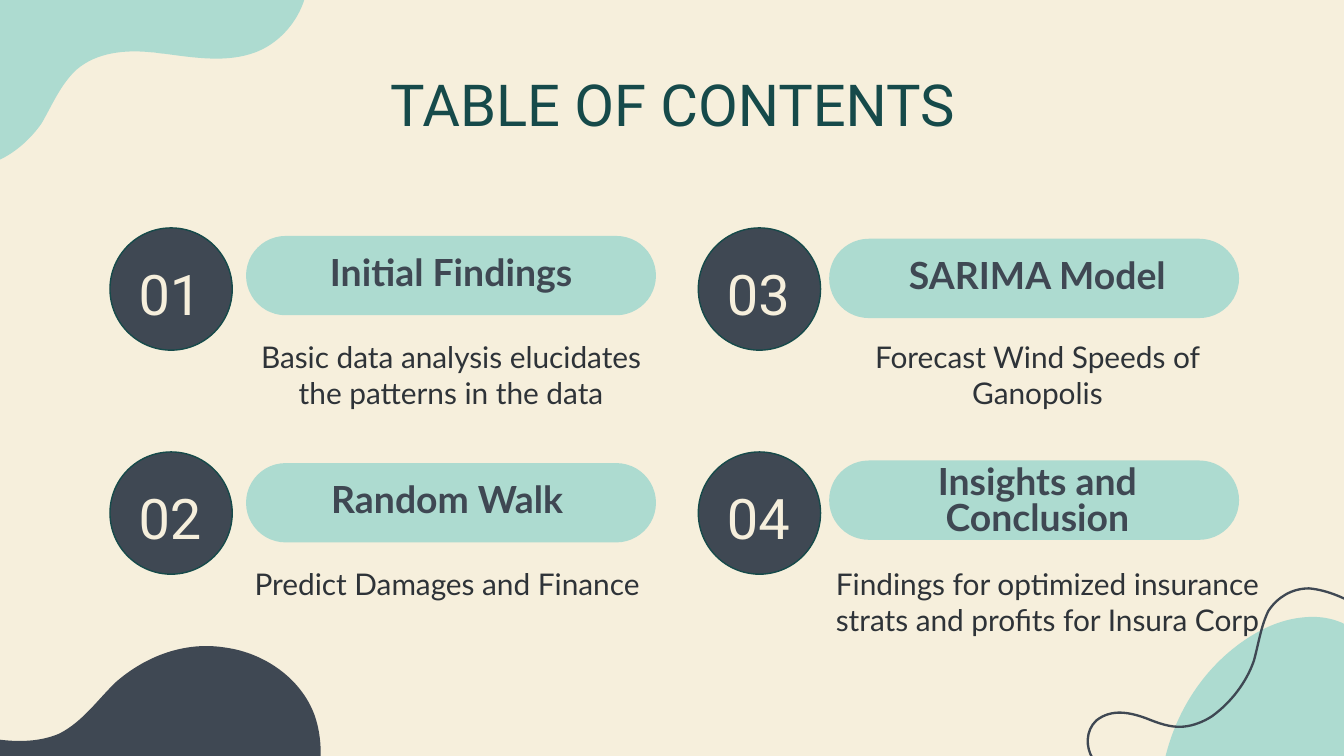
from dataclasses import dataclass

from pptx import Presentation
from pptx.dml.color import RGBColor
from pptx.enum.shapes import MSO_SHAPE as Preset
from pptx.enum.text import MSO_ANCHOR as Anchor, MSO_AUTO_SIZE as AutoSize, PP_ALIGN as Align
from pptx.oxml.ns import qn
from pptx.util import Pt


@dataclass(frozen=True)
class Theme:
    cream: str = "F6EFDC"
    mint: str = "ADDBD0"
    slate: str = "3F4853"
    teal: str = "164A4A"
    ink: str = "2E3338"
    display_font: str = "Roboto"
    text_font: str = "Lato"
    title_size: float = 31
    number_size: float = 30
    heading_size: float = 20
    body_size: float = 16


@dataclass(frozen=True)
class Entry:
    heading: str
    description: str
    circle_left: float
    circle_top: float
    pill_left: float
    pill_top: float
    text_left: float
    heading_top: float
    description_top: float
    description_size: tuple = (216, 40.3)
    description_align: Align = Align.CENTER


COMPARISON_LAYOUT = 4
CIRCLE = 65.5
PILL = (219.6, 42.5)
HEADING_WIDTH = 216

ENTRIES = [
    Entry("Initial Findings", "Basic data analysis elucidates the patterns in the data",
          58.9, 122.1, 131.8, 126.4, 133.7, 126.7, 181.4),
    Entry("Random Walk", "Predict Damages and Finance",
          58.9, 242.1, 131.8, 248.1, 131.6, 248.1, 303.1),
    Entry("SARIMA Model", "Forecast Wind Speeds of Ganopolis",
          374.1, 122.1, 444.2, 127.9, 447.8, 128.2, 181.4),
    Entry("Insights and Conclusion",
          "Findings for optimized insurance strats and profits for Insura Corp",
          374.1, 242.1, 444.2, 246.7, 447.8, 248.1, 303.1, (241.2, 55.4), Align.LEFT),
]

# Outlines: a start point, then line ends (x, y) or cubic curves (three points).
RIGHT_BLOB = [
    (727.9, 409),
    (735.8, 398.9, 741.6, 388.1, 742.3, 378),
    (744.5, 352.8, 728.6, 330.5, 703.4, 330.5),
    (689.8, 330.5, 678.2, 335.5, 668.2, 342),
    (645.1, 357.1, 629.3, 381.6, 623.5, 409),
]
BOTTOM_BLOB = [
    (169.2, 422.6),
    (172.8, 409, 172.8, 395.3, 168.5, 383),
    (161.3, 363.6, 141.8, 349.9, 121, 347),
    (99.4, 343.4, 78.5, 351.4, 62.6, 365),
    (52.6, 374.4, 44.6, 386.6, 31.7, 393.1),
    (13, 401, -9.4, 395.3, -28.8, 390.2),
    (-38.9, 387.4, -50.4, 385.2, -60.5, 385.2),
    (-60.5, 422.6),
]
TOP_BLOB = [
    (164.9, -15.1),
    (164.2, -20.9, 162.7, -26.6, 159.8, -31),
    (136.8, -62.6, 92.2, -23, 65.5, -47.5),
    (53.3, -59, 49.7, -67, 29.5, -60.5),
    (13, -55.4, -0.7, -41.8, -3.6, -24.5),
    (-5, -15.8, -3.6, -6.5, -4.3, 2.9),
    (-4.3, 7.9, -5, 13.7, -7.9, 18),
    (-16.6, 32.4, -36.7, 34.6, -45.4, 49),
    (-54, 64.8, -40.3, 86.4, -23, 89.3),
    (-5, 92.2, 12.2, 80.6, 22.3, 66.2),
    (28.1, 56.2, 32.4, 45.4, 41, 37.4),
    (51.8, 28.1, 67, 26.6, 81.4, 28.1),
    (83.5, 28.1, 85.7, 28.8, 87.8, 28.8),
    (104.4, 31, 121.7, 33.8, 136.8, 28.1),
    (154.1, 21.6, 166.3, 2.9, 164.9, -15.1),
]
SQUIGGLE = [
    (731.5, 326.5),
    (721.4, 321, 712.1, 316.2, 701.3, 315.2),
    (692, 315.2, 684.3, 320, 679.5, 327.3),
    (675.5, 335.5, 674.3, 344.5, 671.8, 353.8),
    (667.8, 365.5, 659.5, 376.3, 649.3, 383.7),
    (645, 386.5, 639.5, 388.8, 634, 389.3),
    (627.1, 390, 620, 387.2, 614.5, 385),
    (605.5, 381.6, 595.4, 379.5, 587.3, 386),
    (581.4, 391.5, 581.6, 400.5, 585.4, 406.4),
    (588, 410.5, 591, 413.8, 594.4, 417),
    (598.8, 421.5, 602.5, 426, 604.4, 431),
    (606.6, 439, 606.6, 448, 604.4, 456.8),
]


def bend(shape, segments):
    """Merge each run of three line ends that stands for a cubic curve into that curve."""
    path = next(shape._element.iter(qn("a:path")))
    lines = iter(path.findall(qn("a:lnTo")))
    for segment in segments:
        first = next(lines)
        if len(segment) == 6:
            first.tag = qn("a:cubicBezTo")
            for _ in range(2):
                line = next(lines)
                first.append(line[0])
                path.remove(line)


def write(box, text, *, font, size, color, bold=False, align=Align.CENTER,
          anchor=Anchor.TOP, spacing=1.0, side_inset=0):
    frame = box.text_frame
    frame.word_wrap = True
    frame.auto_size = AutoSize.NONE
    frame.vertical_anchor = anchor
    frame.margin_top = frame.margin_bottom = 0
    frame.margin_left = frame.margin_right = Pt(side_inset)
    para = frame.paragraphs[0]
    para.alignment = align
    para.line_spacing = spacing
    para.space_before = Pt(0)
    span = para.add_run()
    span.text = text
    span.font.name = font
    span.font.size = Pt(size)
    span.font.bold = bold
    span.font.color.rgb = RGBColor.from_string(color)
    return para


class Painter:
    def __init__(self, page, theme):
        self.page, self.theme = page, theme
        page.background.fill.solid()
        page.background.fill.fore_color.rgb = RGBColor.from_string(theme.cream)

    def paint(self, shape, fill=None, line=None, width=0.75):
        shape.shadow.inherit = False
        for target, color in ((shape.fill, fill), (shape.line.fill, line)):
            if color:
                target.solid()
                target.fore_color.rgb = RGBColor.from_string(color)
            else:
                target.background()
        if line:
            shape.line.width = Pt(width)

    def outline(self, outline, close=True, **style):
        start, *segments = outline
        points = [(Pt(x), Pt(y)) for segment in segments
                  for x, y in zip(segment[::2], segment[1::2])]
        builder = self.page.shapes.build_freeform(*map(Pt, start), scale=1.0)
        builder.add_line_segments(points, close=close)
        shape = builder.convert_to_shape()
        bend(shape, segments)
        self.paint(shape, **style)

    def shape(self, preset, *bounds, **style):
        shape = self.page.shapes.add_shape(preset, *map(Pt, bounds))
        self.paint(shape, **style)
        return shape

    def label(self, text, *bounds, **style):
        write(self.page.shapes.add_textbox(*map(Pt, bounds)), text, anchor=Anchor.MIDDLE, **style)

    def placeholder(self, index, text, *bounds, **style):
        """Fill a template placeholder without bullets, in front of the shapes so far."""
        box = self.page.placeholders[index]
        box.left, box.top, box.width, box.height = map(Pt, bounds)
        self.page.shapes._spTree.append(box._element)
        properties = write(box, text, **style)._p.get_or_add_pPr()
        properties.set("marL", "0")
        properties.set("indent", "0")
        properties.append(properties.makeelement(qn("a:buNone"), {}))

    def entry(self, index, entry):
        theme = self.theme
        pill = self.shape(Preset.ROUNDED_RECTANGLE, entry.pill_left, entry.pill_top, *PILL,
                          fill=theme.mint)
        pill.adjustments[0] = 0.5
        self.shape(Preset.OVAL, entry.circle_left, entry.circle_top, CIRCLE, CIRCLE,
                   fill=theme.slate, line=theme.teal)
        self.label(f"{index:02}", entry.circle_left + 5.6, entry.circle_top + 7.5, 53.3, 55.4,
                   font=theme.display_font, size=theme.number_size, color=theme.cream)
        self.label(entry.heading, entry.text_left, entry.heading_top, HEADING_WIDTH, PILL[1],
                   font=theme.text_font, size=theme.heading_size, color=theme.slate,
                   bold=True, spacing=0.8, side_inset=18)
        self.placeholder(index, entry.description, entry.text_left, entry.description_top,
                         *entry.description_size, font=theme.text_font, size=theme.body_size,
                         color=theme.ink, align=entry.description_align)


def main():
    theme = Theme()
    deck = Presentation()
    deck.slide_width, deck.slide_height = Pt(720), Pt(405)
    painter = Painter(deck.slides.add_slide(deck.slide_layouts[COMPARISON_LAYOUT]), theme)
    painter.outline(RIGHT_BLOB, fill=theme.mint)
    painter.outline(BOTTOM_BLOB, fill=theme.slate)
    painter.outline(TOP_BLOB, fill=theme.mint)
    painter.outline(SQUIGGLE, close=False, line=theme.slate, width=1.25)
    painter.placeholder(0, "TABLE OF CONTENTS", 56.2, 36.7, 607.7, 36,
                        font=theme.display_font, size=theme.title_size, color=theme.teal)
    for index, entry in enumerate(ENTRIES, start=1):
        painter.entry(index, entry)
    deck.save("out.pptx")


if __name__ == "__main__":
    main()
